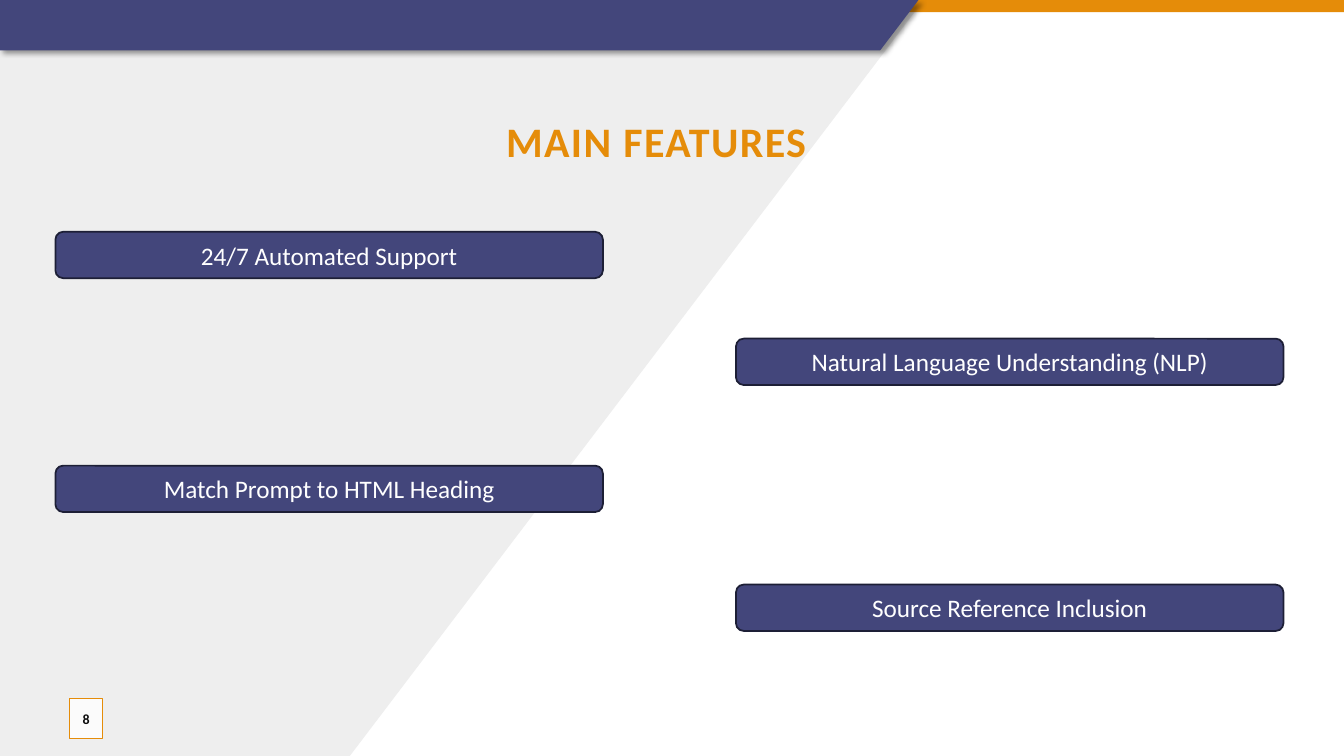
from dataclasses import dataclass

from lxml.etree import SubElement
from pptx import Presentation
from pptx.dml.color import RGBColor as Rgb
from pptx.enum.shapes import MSO_SHAPE as Preset
from pptx.enum.text import MSO_ANCHOR as Anchor, MSO_AUTO_SIZE as AutoSize, PP_ALIGN as Align
from pptx.oxml.ns import qn
from pptx.shapes.autoshape import Shape
from pptx.slide import Slide
from pptx.text.text import TextFrame, _Run as Run
from pptx.util import Inches, Pt


@dataclass(frozen=True)
class Theme:
    font: str = "Calibri"
    orange: str = "E58C09"
    indigo: str = "43467B"
    outline: str = "1D1F36"
    pale: str = "EEEEEE"
    white: str = "FFFFFF"
    ink: str = "0D0D0D"
    title_size: int = 30
    feature_size: int = 18
    number_size: int = 10


@dataclass(frozen=True)
class Box:
    left: float
    top: float
    width: float
    height: float

    def lengths(self) -> tuple:
        return tuple(Inches(v) for v in (self.left, self.top, self.width, self.height))


@dataclass(frozen=True)
class Feature:
    label: str
    left: float
    top: float


THEME = Theme()
SLIDE_WIDTH, SLIDE_HEIGHT = 13.33, 7.5
BANNER_RIGHT = 9.11
LEFT_COLUMN, RIGHT_COLUMN = 0.55, 7.3
FEATURE_WIDTH, FEATURE_HEIGHT = 5.43, 0.46
FEATURES = [
    Feature("24/7 Automated Support", LEFT_COLUMN, 2.3),
    Feature("Natural Language Understanding (NLP)", RIGHT_COLUMN, 3.36),
    Feature("Match Prompt to HTML Heading", LEFT_COLUMN, 4.62),
    Feature("Source Reference Inclusion", RIGHT_COLUMN, 5.8),
]


def paint(shape: Shape, fill: str, line: str = "", line_width: float = 0) -> Shape:
    shape.shadow.inherit = False
    shape.fill.solid()
    shape.fill.fore_color.rgb = Rgb.from_string(fill)
    if line:
        shape.line.color.rgb = Rgb.from_string(line)
        shape.line.width = Pt(line_width)
    else:
        shape.line.fill.background()
    return shape


def write(frame: TextFrame, text: str, size: int, color: str, bold: bool = False) -> Run:
    paragraph = frame.paragraphs[0]
    paragraph.alignment = Align.CENTER
    run = paragraph.add_run()
    run.text = text
    run.font.name = THEME.font
    run.font.size = Pt(size)
    run.font.bold = bold
    run.font.color.rgb = Rgb.from_string(color)
    return run


def add_panel(slide: Slide, corners: list[tuple[float, float]], fill: str) -> Shape:
    points = [(Inches(x), Inches(y)) for x, y in corners]
    builder = slide.shapes.build_freeform(*points[0], scale=1.0)
    builder.add_line_segments(points[1:], close=True)
    return paint(builder.convert_to_shape(), fill)


def add_box(slide: Slide, preset: Preset, box: Box, fill: str,
            line: str = "", line_width: float = 0) -> Shape:
    shape = slide.shapes.add_shape(preset, *box.lengths())
    shape.text_frame.vertical_anchor = Anchor.MIDDLE
    shape.text_frame.word_wrap = True
    return paint(shape, fill, line, line_width)


def set_alpha(color_parent, percent: int) -> None:
    color = color_parent.find(qn("a:srgbClr"))
    SubElement(color, qn("a:alpha"), val=str(percent * 1000))


def cast_shadow(shape: Shape) -> None:
    effects = shape.element.spPr.find(qn("a:effectLst"))
    shadow = SubElement(effects, qn("a:outerShdw"), blurRad=str(Pt(4)), dist=str(Pt(3)),
                        dir=str(45 * 60000), algn="tl", rotWithShape="0")
    SubElement(shadow, qn("a:srgbClr"), val="000000")
    set_alpha(shadow, 40)


def add_backdrop(slide: Slide) -> None:
    add_panel(slide, [(0, 0), (BANNER_RIGHT, 0), (BANNER_RIGHT, 0.07),
                      (3.47, SLIDE_HEIGHT), (0, SLIDE_HEIGHT)], THEME.pale)
    add_box(slide, Preset.RECTANGLE, Box(0, 0, SLIDE_WIDTH, 0.12), THEME.orange)
    banner = add_panel(slide, [(0, 0), (BANNER_RIGHT, 0), (8.73, 0.5), (0, 0.5)], THEME.indigo)
    cast_shadow(banner)


def add_heading(slide: Slide, text: str) -> None:
    heading = slide.shapes.title
    heading.left, heading.top, heading.width, heading.height = Box(0.6, 1.08, 11.82, 0.77).lengths()
    frame = heading.text_frame
    frame.auto_size = AutoSize.NONE
    frame.vertical_anchor = Anchor.TOP
    frame.margin_top = Inches(0.07)
    run = write(frame, text, THEME.title_size, THEME.orange, bold=True)
    run.font._element.set("spc", "100")
    # Bring the heading in front of the backdrop
    heading.element.getparent().append(heading.element)


def add_page_number(slide: Slide, number: str) -> None:
    badge = add_box(slide, Preset.RECTANGLE, Box(0.69, 6.93, 0.33, 0.4),
                    THEME.white, THEME.orange, 0.75)
    set_alpha(badge.element.spPr.find(qn("a:solidFill")), 82)
    badge.text_frame.margin_left = badge.text_frame.margin_right = 0
    write(badge.text_frame, number, THEME.number_size, THEME.ink, bold=True)


def add_feature(slide: Slide, feature: Feature) -> None:
    box = Box(feature.left, feature.top, FEATURE_WIDTH, FEATURE_HEIGHT)
    bar = add_box(slide, Preset.ROUNDED_RECTANGLE, box, THEME.indigo, THEME.outline, 1.25)
    write(bar.text_frame, feature.label, THEME.feature_size, THEME.white)


def main() -> None:
    deck = Presentation()
    deck.slide_width, deck.slide_height = Inches(SLIDE_WIDTH), Inches(SLIDE_HEIGHT)
    title_only = deck.slide_layouts[5]
    slide = deck.slides.add_slide(title_only)

    # Backdrop, heading and page number
    add_backdrop(slide)
    add_heading(slide, "MAIN FEATURES")
    add_page_number(slide, "8")

    # Feature bars, alternating between the columns
    for feature in FEATURES:
        add_feature(slide, feature)

    deck.save("out.pptx")


if __name__ == "__main__":
    main()
